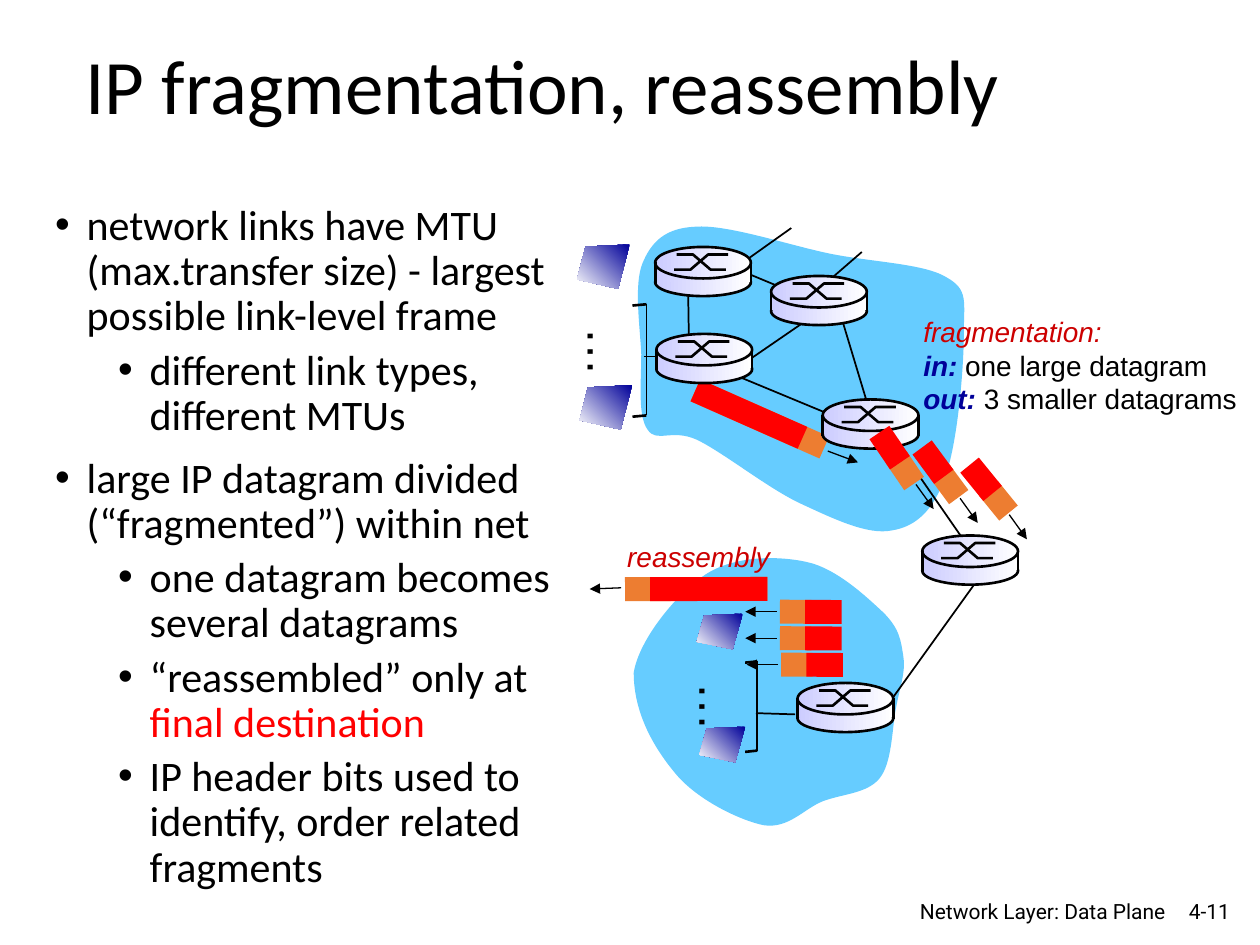
import math
from lxml import etree
from pptx import Presentation, util as u
from pptx.dml.color import RGBColor
from pptx.enum import shapes, text
from pptx.oxml.ns import qn

CELL = u.Inches(0.1)  # the grid: 100 columns by 75 rows
BLACK, RED, ORANGE, SKY = "000000", "FF0000", "ED7D31", "66CCFF"
LILAC, NAVY, WHITE, WINE = "CCCCFF", "000099", "FFFFFF", "CC0000"
KIND = shapes.MSO_SHAPE


def hue(code):
    return RGBColor.from_string(code)


def grid(*cells):
    return [round(c * CELL) for c in cells]


def paint(part, fill=None, line=None, angle=0):
    """Fill with a colour, a pair of colours, or nothing; outline in points."""
    part.shadow.inherit = False
    if fill is None:
        part.fill.background()
    elif isinstance(fill, tuple):
        part.fill.gradient()
        part.fill.gradient_angle = angle
        for stop, code in zip(part.fill.gradient_stops, fill):
            stop.color.rgb = hue(code)
    else:
        part.fill.solid()
        part.fill.fore_color.rgb = hue(fill)
    if line:
        part.line.color.rgb = hue(BLACK)
        part.line.width = u.Pt(line)
    else:
        part.line.fill.background()
    return part


def shape(on, kind, box, fill, line=None, turn=0):
    part = paint(on.add_shape(kind, *grid(*box)), fill, line)
    part.rotation = turn
    return part


def rule(on, x1, y1, x2, y2, width=1.0, arrow=False):
    part = on.add_connector(shapes.MSO_CONNECTOR.STRAIGHT, *grid(x1, y1, x2, y2))
    part.line.color.rgb = hue(BLACK)
    part.line.width = u.Pt(width)
    if arrow:
        etree.SubElement(part.line._get_or_add_ln(), qn("a:tailEnd"), type="triangle")
    etree.SubElement(part._element.spPr, qn("a:effectLst"))


def outline(on, x, y, points, close=True):
    first, *rest = [grid(x + px, y + py) for px, py in points]
    pen = on.build_freeform(*first, scale=1.0)
    pen.add_line_segments(rest, close=close)
    return pen.convert_to_shape()


def write(on, box, paras, size, font="Calibri", color=BLACK, align=None, anchor=None,
          wrap=True, gaps=None, space=None, turn=0):
    """Each paragraph is a list of (text, format) runs; gaps holds bullet levels."""
    part = on.add_textbox(*grid(*box))
    part.rotation = turn
    frame = part.text_frame
    frame.word_wrap = wrap
    if not wrap:
        frame.auto_size = text.MSO_AUTO_SIZE.SHAPE_TO_FIT_TEXT
    if anchor is not None:
        frame.vertical_anchor = anchor
    for i, runs in enumerate(paras):
        para = frame.paragraphs[0] if i == 0 else frame.add_paragraph()
        if gaps:
            level = gaps[i]
            props = para._p.get_or_add_pPr()
            props.set("marL", str(u.Inches(0.25 + 0.5 * level)))
            props.set("indent", str(u.Inches(-0.25)))
            etree.SubElement(props, qn("a:buFont"), typeface="Arial")
            etree.SubElement(props, qn("a:buChar"), char="•")
            para.level = level
            if i:
                para.space_before = u.Pt(5 if level else 10)
        if space:
            para.line_spacing = space
        if align is not None:
            para.alignment = align
        for words, form in runs:
            run = para.add_run()
            run.text = words
            run.font.name, run.font.size = font, u.Pt(size)
            run.font.color.rgb = hue(form.get("color", color))
            run.font.bold = form.get("bold", False)
            run.font.italic = form.get("italic", False)


def cloud(on, x, y, points):
    """Smooth blob: a start point, then three points for each curve."""
    part = paint(outline(on, x, y, points), SKY)
    path = next(part._element.iter(qn("a:path")))
    legs = path.findall(qn("a:lnTo"))
    for i in range(0, len(legs), 3):
        curve = etree.Element(qn("a:cubicBezTo"))
        legs[i].addprevious(curve)
        for leg in legs[i:i + 3]:
            curve.append(leg[0])
            path.remove(leg)


def router(on, x, y):
    on = on.add_group_shape().shapes
    fade = (LILAC, WHITE)
    shape(on, KIND.OVAL, (x, y + 1.7, 7.6, 2.2), fade, 1.5)
    shape(on, KIND.RECTANGLE, (x, y + 1.45, 7.6, 1.3), fade)
    shape(on, KIND.OVAL, (x, y, 7.6, 2.5), fade, 1.5)
    for xs, start, end in (((1.5, 2.8, 4.2, 5.8), 1.8, 0.6), ((1.7, 3, 4.4, 5.6), 0.6, 1.8)):
        points = zip(xs, (start, start, end, end))
        paint(outline(on, x, y, points, close=False), None, 1.5)
    for side in (x, x + 7.6):
        rule(on, side, y + 1.2, side, y + 2.9, 1.5)


def hosts(on, x, y, w, h, dots):
    """Two hosts with dots between them, and a bracket on the right."""
    on = on.add_group_shape().shapes
    top, foot, left = y + 0.33 * h, y + 0.93 * h, x + 0.8 * w
    rule(on, left, top, x + w, top - 0.1, 1.5)
    rule(on, left, foot, x + w, foot - 0.1, 1.5)
    rule(on, x + w, top - 0.1, x + w, foot - 0.1)
    screen = ((1, 0), (0.16, 0.05), (0, 0.79), (0.78, 1))
    for dx, dy in ((0, 0), (0.2, 0.76 * h)):
        points = [(px * 0.76 * w, py * 0.24 * h) for px, py in screen]
        paint(outline(on, x + dx, y + dy, points), (NAVY, WHITE), angle=225)
    write(on, (x + dots[0] * w - 2.95, y + dots[1] * h - 2.85, 5.9, 5.7), [[("…", {})]],
          28, "Arial", wrap=False, turn=90)


def packet(on, x, y, turn, lead, run, head=2.5, load=2.9, gap=2.2):
    """Orange header centred on x, y, red load behind it, arrow ahead."""
    on = on.add_group_shape().shapes
    angle = math.radians(turn)
    back = (x - gap * math.cos(angle), y - gap * math.sin(angle))
    for (cx, cy), wide, fill in (((x, y), head, ORANGE), (back, load, RED)):
        shape(on, KIND.RECTANGLE, (cx - wide / 2, cy - 0.95, wide, 1.9), fill, turn=turn)
    x1, y1 = x + lead[0], y + lead[1]
    rule(on, x1, y1, x1 + run[0], y1 + run[1], 0.75, arrow=True)


def source(on, x, y):
    """Sending network, where the datagram is split."""
    cloud(on, x, y, [
        (4.9, 0.2), (2.5, 0.3), (1.4, 1.4), (0.7, 3.1), (0, 4.8), (0.5, 8.1), (0.6, 10.3),
        (0.6, 12.5), (0.3, 15.2), (1.1, 16.3), (1.8, 17.4), (3, 16.2), (5, 17.1),
        (7.1, 18.1), (10.7, 21), (13.3, 22.2), (15.9, 23.4), (18.6, 24.7), (20.5, 24.3),
        (22.4, 24), (23.8, 22.7), (24.7, 20.1), (25.7, 17.5), (26.2, 11.4), (26.2, 8.8),
        (26.2, 6.1), (26.6, 5.2), (24.8, 4.2), (23, 3.1), (18.7, 3), (15.4, 2.3),
        (12.1, 1.6), (7.4, 0), (4.9, 0.2)])
    for x1, y1, x2, y2 in (
            (0.8, 10.5, 2.2, 10.5), (7.1, 3.1, 14.3, 6.1), (16.3, 6.8, 18.5, 14.1),
            (4.3, 4.3, 4.4, 10.7), (6.9, 11.5, 17.5, 15.9), (26, 24.8, 20.8, 17.3),
            (15.5, 6.4, 7.2, 12.1), (12.5, 0.3, 7.3, 4), (18.1, 2.2, 15.1, 4.8)):
        rule(on, x + x1, y + y1, x + x2, y + y2)
    packet(on, x + 10, y + 15.45, 23.9, (5.4, 2.55), (2.4, 0.9), 11.2, 9.3, 0.94)
    key = {"color": NAVY, "bold": True, "italic": True}
    write(on, (x + 22, y + 6.7, 27, 9), [
        [("fragmentation:", {"color": WINE, "italic": True})],
        [("in:", key), (" one large datagram", {})],
        [("out:", key), (" 3 smaller datagrams", {})]], 16, "Arial", wrap=False)
    hosts(on, x - 4.5, y + 1.6, 5.5, 14.7, (0.43, 0.58))
    for dx, dy in ((15, 13.9), (1.7, 1.8), (1.8, 8.7), (10.9, 4.1), (22.9, 24.7)):
        router(on, x + dx, y + dy)
    for dx, dy, turn in ((21.55, 19.55, 55.8), (25.05, 20.65, 53.6), (28.95, 21.95, 50.9)):
        packet(on, x + dx, y + dy, turn, (0.85, 1.1), (1.4, 1.95))


def target(on, x, y):
    """Receiving network, where the datagram is put together."""
    cloud(on, x, y, [
        (0, 9.3), (0.4, 6.7), (3.4, 3), (5.7, 1.5), (8, 0), (11.4, 0), (13.7, 0.5),
        (16.1, 1), (18.5, 3.3), (19.8, 4.5), (21.1, 5.8), (21.2, 6.7), (21.4, 8),
        (21.6, 9.3), (21.1, 10.5), (20.8, 12.2), (20.5, 13.8), (20.5, 16.5), (19.5, 17.7),
        (18.5, 18.9), (16.6, 18.9), (15, 19.5), (13.5, 20.1), (12.3, 21.7), (10.3, 21.4),
        (8.4, 21), (5.1, 19.4), (3.4, 17.4), (1.7, 15.4), (0, 12.6), (0, 9.3)])
    rule(on, x + 27.3, y + 1.9, x + 20.4, y + 11.5)
    rule(on, x + 9.7, y + 12.5, x + 12.8, y + 12.6)
    for dx, dy in ((12.85, 4.45), (12.85, 6.55), (12.95, 8.65)):
        packet(on, x + dx, y + dy, 180.4, (-1.5, 0), (-2.5, 0))
    packet(on, x + 4.95, y + 2.65, 179.9, (-5.95, -0.1), (-2.5, 0.1), 11.3, 9.3, 1)
    write(on, (x - 1.5, y - 1.8, 13.4, 3.7), [[("reassembly", {"italic": True})]],
          16, "Arial", WINE, wrap=False)
    hosts(on, x + 5, y + 4.6, 4.8, 11.8, (0.36, 0.63))
    router(on, x + 13, y + 10.1)


def points(on, box):
    """Bulleted text on the left."""
    write(on, box, [
        [("network links have MTU (max.transfer size) - largest possible link-level frame", {})],
        [("different link types, different MTUs", {})],
        [("large IP datagram divided (“fragmented”) within net", {})],
        [("one datagram becomes several datagrams", {})],
        [("“reassembled” only at ", {}), ("final destination", {"color": RED})],
        [("IP header bits used to identify, order related fragments", {})],
    ], 24, gaps=(0, 1, 0, 1, 1, 1), space=0.9)


def footer(on, x, y):
    right = text.PP_ALIGN.RIGHT
    write(on, (x + 22.8, y, 6.1, 3), [[("4-11", {})]], 12, "Roboto", align=right,
          anchor=text.MSO_ANCHOR.MIDDLE)
    write(on, (x, y, 23.8, 2.6), [[("Network Layer: Data Plane", {})]], 12, "Roboto",
          align=right)


def main():
    deck = Presentation()
    deck.slide_width, deck.slide_height = grid(100, 75)
    on = deck.slides.add_slide(deck.slide_layouts[6]).shapes
    write(on, (5.8, 2, 85, 10.2), [[("IP fragmentation, reassembly", {})]], 44,
          anchor=text.MSO_ANCHOR.MIDDLE, space=0.9)
    points(on, (3.4, 15.7, 41.7, 55.7))
    target(on, 50.3, 44.1)
    source(on, 50.3, 17.8)
    footer(on, 69.7, 70.8)
    deck.save("out.pptx")


if __name__ == "__main__":
    main()
